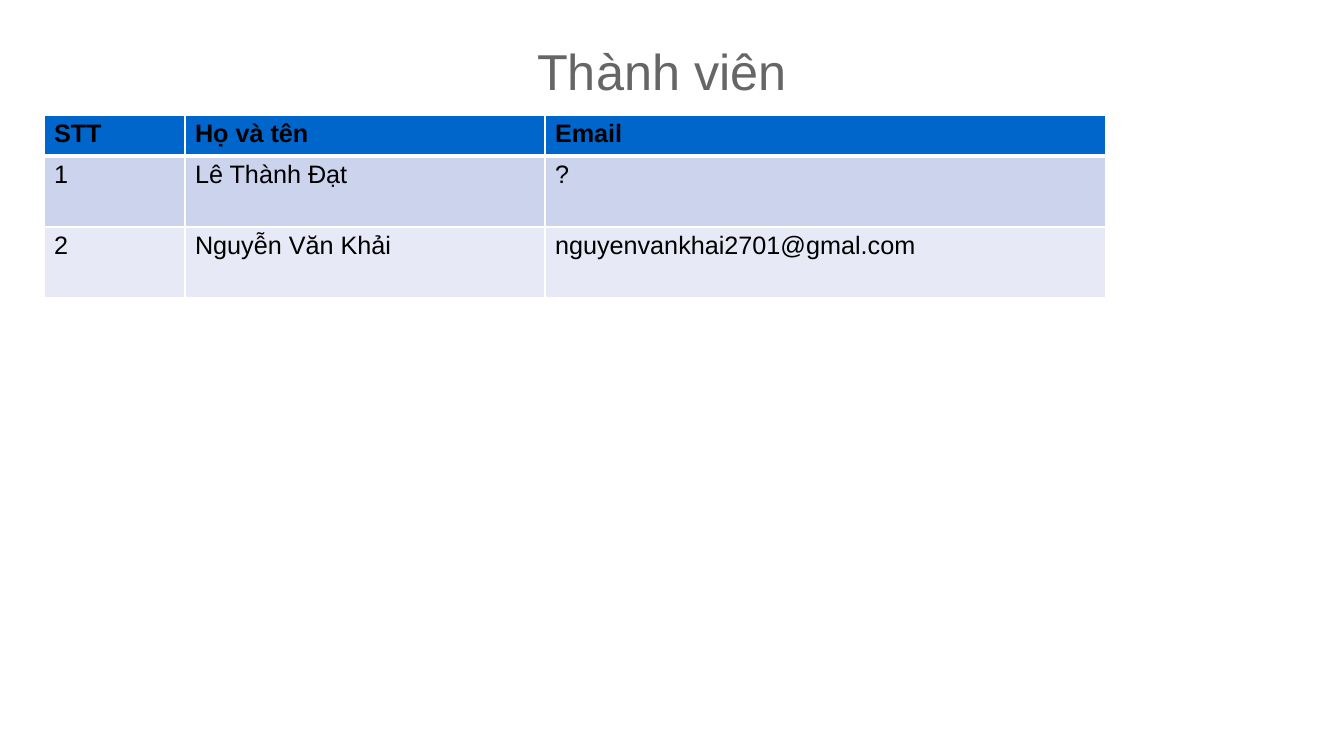
from lxml.etree import SubElement
from pptx import Presentation
from pptx.dml.color import RGBColor
from pptx.enum.text import MSO_ANCHOR, PP_ALIGN
from pptx.oxml.ns import qn
from pptx.util import Pt

# Content
TITLE = "Thành viên"
MEMBERS = [
    ("STT", "Họ và tên", "Email"),
    ("1", "Lê Thành Đạt", "?"),
    ("2", "Nguyễn Văn Khải", "nguyenvankhai2701@gmal.com"),
]

# Look
FONT = "Arial"
BLACK = RGBColor(0x00, 0x00, 0x00)
GREY = RGBColor(0x66, 0x66, 0x66)
HEADER_BLUE = RGBColor(0x00, 0x66, 0xCC)
BAND_DARK = RGBColor(0xCC, 0xD3, 0xEC)
BAND_LIGHT = RGBColor(0xE7, 0xEA, 0xF6)
WHITE = RGBColor(0xFF, 0xFF, 0xFF)
ROW_FILLS = [HEADER_BLUE, BAND_DARK, BAND_LIGHT]

# Layout in px
EMU_PER_PX = 914400 / 100.8
SLIDE_SIZE = (1344, 756)
TITLE_BOX = (57, 38, 1210, 65)
TABLE_CORNER = (44, 115)
COLUMN_WIDTHS = [141, 360, 561]
ROW_HEIGHTS = [41, 71, 71]


def px(length):
    return round(length * EMU_PER_PX)


def add_text(para, text, size, color, bold=False):
    span = para.add_run()
    span.text = text
    span.font.name = FONT
    span.font.size = Pt(size)
    span.font.bold = bold
    span.font.color.rgb = color


def set_borders(cell, widths):
    """Draw white borders; they must come before the fill in the cell."""
    properties = cell._tc.get_or_add_tcPr()
    for side, width in widths.items():
        line = SubElement(properties, qn(f"a:{side}"), w=str(Pt(width)))
        fill = SubElement(line, qn("a:solidFill"))
        SubElement(fill, qn("a:srgbClr"), val=str(WHITE))


deck = Presentation()
deck.slide_width, deck.slide_height = map(px, SLIDE_SIZE)
page = deck.slides.add_slide(deck.slide_layouts[6])

# Title
box = page.shapes.add_textbox(*map(px, TITLE_BOX))
frame = box.text_frame
frame.word_wrap = True
frame.vertical_anchor = MSO_ANCHOR.MIDDLE
frame.margin_top = frame.margin_bottom = 0
title = frame.paragraphs[0]
title.alignment = PP_ALIGN.CENTER
add_text(title, TITLE, 36, GREY)

# Member table
table_size = (sum(COLUMN_WIDTHS), sum(ROW_HEIGHTS))
table = page.shapes.add_table(
    len(MEMBERS), len(COLUMN_WIDTHS), *map(px, TABLE_CORNER + table_size)
).table
for column, width in zip(table.columns, COLUMN_WIDTHS):
    column.width = px(width)
for row, height in zip(table.rows, ROW_HEIGHTS):
    row.height = px(height)

for r, (member, fill) in enumerate(zip(MEMBERS, ROW_FILLS)):
    # A thicker line divides the header from the members
    borders = {"lnL": 1, "lnR": 1, "lnT": 3 if r == 1 else 1, "lnB": 3 if r == 0 else 1}
    for c, text in enumerate(member):
        cell = table.cell(r, c)
        set_borders(cell, borders)
        cell.fill.solid()
        cell.fill.fore_color.rgb = fill
        add_text(cell.text_frame.paragraphs[0], text, 18, BLACK, bold=r == 0)

deck.save("out.pptx")
